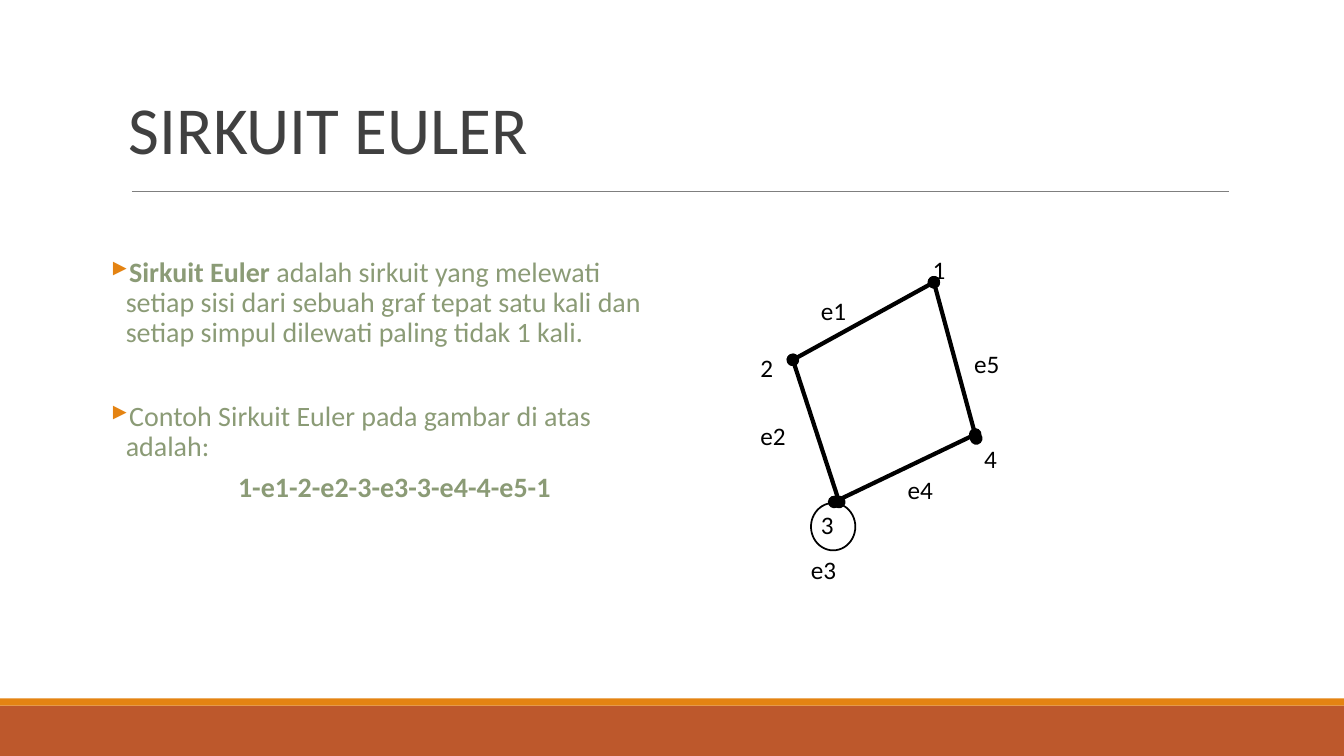
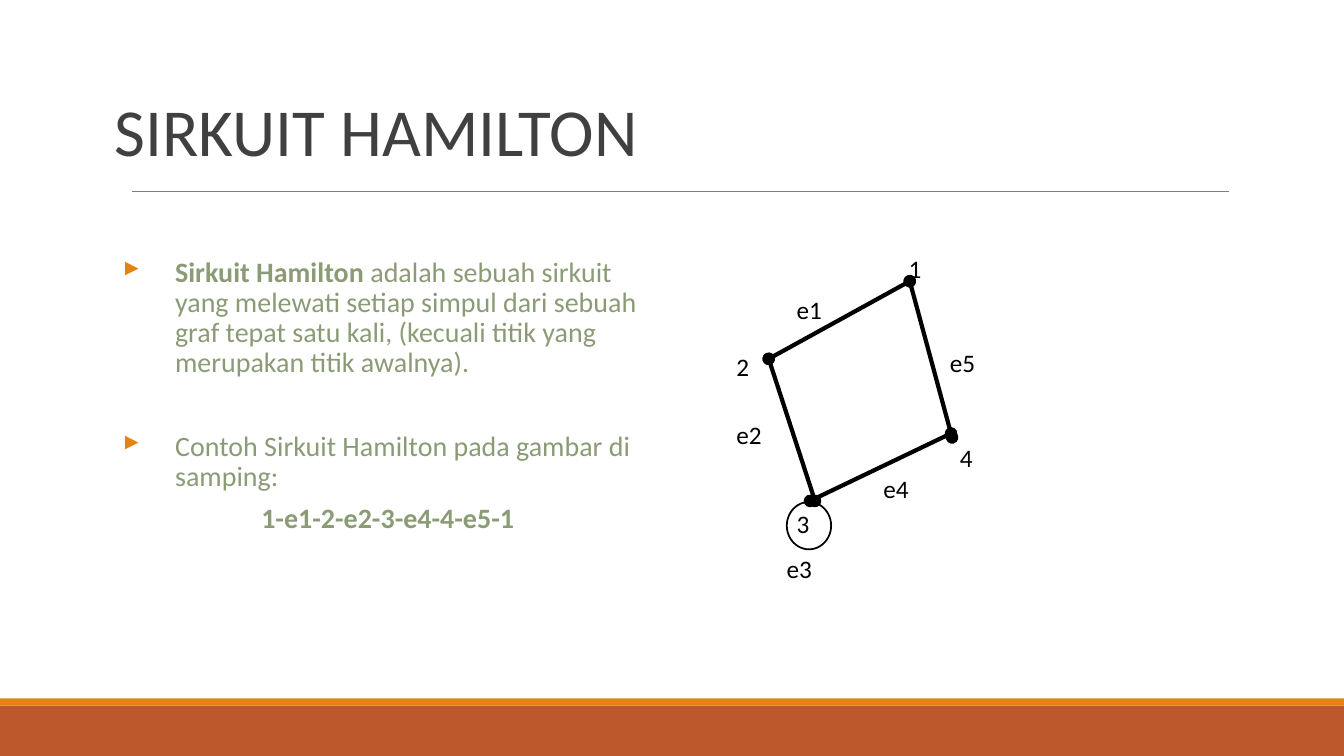
from lxml import etree
from pptx import Presentation
from pptx import util as u
from pptx.dml import color
from pptx.enum import shapes, text
from pptx.oxml import ns

HUES = {
    "rust": "BD582C",
    "gold": "E48312",
    "rule": "7F7F7F",
    "title": "404040",
    "body": "8B9B76",
    "ink": "000000",
}
FONT = "Calibri"
WIDE, HIGH = 13.34, 7.5

LABELS = [
    ("1", 9.16, 2.47), ("2", 7.45, 3.45), ("4", 9.67, 4.35),
    ("3", 8.05, 5), ("e5", 9.57, 3.41), ("e2", 7.45, 4.12),
    ("e1", 8.05, 2.88), ("e3", 7.95, 5.45), ("e4", 8.91, 4.66),
]
EDGES = [
    (9.27, 2.8, 7.87, 3.57), (7.87, 3.57, 8.33, 4.98),
    (9.27, 2.8, 9.69, 4.35), (8.28, 4.98, 9.68, 4.31),
]


def rgb(hue):
    return color.RGBColor.from_string(HUES[hue])


def apply(item, **style):
    for key, value in style.items():
        setattr(item, key, value)


def node(parent, tag, **attrs):
    return etree.SubElement(parent, ns.qn(tag), **attrs)


class Deck:
    def __init__(self):
        self.file = Presentation()
        apply(self.file, slide_width=u.Inches(WIDE), slide_height=u.Inches(HIGH))
        self.slide = None

    def start(self, title, box):
        self.slide = self.file.slides.add_slide(self.file.slide_layouts[5])
        self.shape("RECTANGLE", (0, 7, WIDE, 0.5), fill="rust")
        self.shape("RECTANGLE", (0, 6.93, WIDE, 0.07), fill="gold")
        self.line((1.31, 1.9, 12.2, 1.9), "rule", 0.5)
        head = self.slide.shapes.title
        self.place(head, box)
        frame = self.frame(head, 0.1, text.MSO_ANCHOR.BOTTOM)
        para = frame.paragraphs[0]
        apply(para, alignment=text.PP_ALIGN.LEFT, line_spacing=0.85)
        self.run(para, title, 48, "title")

    def place(self, item, box):
        for key, value in zip(("left", "top", "width", "height"), box):
            setattr(item, key, u.Inches(value))

    def frame(self, item, pad, anchor=text.MSO_ANCHOR.TOP):
        frame = item.text_frame
        apply(frame, word_wrap=True, auto_size=text.MSO_AUTO_SIZE.NONE,
              vertical_anchor=anchor,
              margin_left=u.Inches(0.1), margin_right=u.Inches(0.1),
              margin_top=u.Inches(pad), margin_bottom=u.Inches(pad))
        return frame

    def run(self, para, words, size, hue, bold=False):
        run = para.add_run()
        run.text = words
        apply(run.font, name=FONT, size=u.Pt(size), bold=bold)
        run.font.color.rgb = rgb(hue)

    def box(self, box, pad):
        return self.frame(self.slide.shapes.add_textbox(*map(u.Inches, box)), pad)

    def shape(self, kind, box, fill=None, line=None, width=1):
        item = self.slide.shapes.add_shape(
            getattr(shapes.MSO_SHAPE, kind), *map(u.Inches, box))
        item.shadow.inherit = False
        if fill:
            item.fill.solid()
            item.fill.fore_color.rgb = rgb(fill)
        else:
            item.fill.background()
        if line:
            item.line.color.rgb = rgb(line)
            item.line.width = u.Pt(width)
        else:
            item.line.fill.background()

    def line(self, ends, hue, width, dots=False):
        item = self.slide.shapes.add_connector(
            shapes.MSO_CONNECTOR.STRAIGHT, *map(u.Inches, ends))
        item.line.color.rgb = rgb(hue)
        item.line.width = u.Pt(width)
        if dots:
            stroke = item.line._get_or_add_ln()
            node(stroke, "a:headEnd", type="oval")
            node(stroke, "a:tailEnd", type="oval")
        node(item._element.spPr, "a:effectLst")

    def body(self, box, term, rest, intro, route, left, hang, shift):
        frame = self.box(box, 0.1)
        rows = [
            ([(term, True), (rest, False)], 0, True),
            ([(intro, False)], 38, True),
            ([(route, True)], 8, False),
        ]
        for spot, (parts, gap, mark) in enumerate(rows):
            para = frame.add_paragraph() if spot else frame.paragraphs[0]
            apply(para, line_spacing=0.9, space_before=u.Pt(gap))
            props = para._p.get_or_add_pPr()
            props.set("marL", str(u.Inches(left)))
            props.set("indent", str(u.Inches(hang if mark else shift)))
            if mark:
                tint = node(props, "a:buClr")
                node(tint, "a:srgbClr", val=HUES["gold"])
                node(props, "a:buChar", char="▸")
            else:
                para.alignment = text.PP_ALIGN.CENTER
                node(props, "a:buNone")
            for words, bold in parts:
                self.run(para, words, 20, "body", bold)

    def graph(self, dx=0, dy=0):
        for words, x, y in LABELS:
            wide = 0.3 if len(words) == 1 else 0.55
            frame = self.box((x + dx, y + dy, wide, 0.4), 0.05)
            self.run(frame.paragraphs[0], words, 18, "ink")
        for x1, y1, x2, y2 in EDGES:
            self.line((x1 + dx, y1 + dy, x2 + dx, y2 + dy), "ink", 3, dots=True)
        self.shape("OVAL", (8.05 + dx, 4.99 + dy, 0.44, 0.47),
                   line="ink", width=1.25)


def main():
    deck = Deck()
    deck.start("SIRKUIT EULER", (1.18, 0.7, 10.02, 1.07))
    deck.body(
        (1, 2.46, 5.68, 4.12), "Sirkuit Euler",
        " adalah sirkuit yang melewati setiap sisi dari sebuah graf tepat "
        "satu kali dan setiap simpul dilewati paling tidak 1 kali.",
        "Contoh Sirkuit Euler pada gambar di atas adalah:",
        "1-e1-2-e2-3-e3-3-e4-4-e5-1", left=0.15, hang=-0.15, shift=0)
    deck.graph()

    deck.start("SIRKUIT HAMILTON", (1.04, 0.72, 9.45, 1.07))
    deck.body(
        (0.98, 2.46, 5.6, 3.52), "Sirkuit Hamilton ",
        "adalah sebuah sirkuit yang melewati setiap simpul dari sebuah graf "
        "tepat satu kali, (kecuali titik yang merupakan titik awalnya).",
        "Contoh Sirkuit Hamilton pada gambar di samping:",
        "1-e1-2-e2-3-e4-4-e5-1", left=0.66, hang=-0.52, shift=-0.52)
    deck.graph(-0.24, -0.01)
    deck.file.save("out.pptx")


if __name__ == "__main__":
    main()
